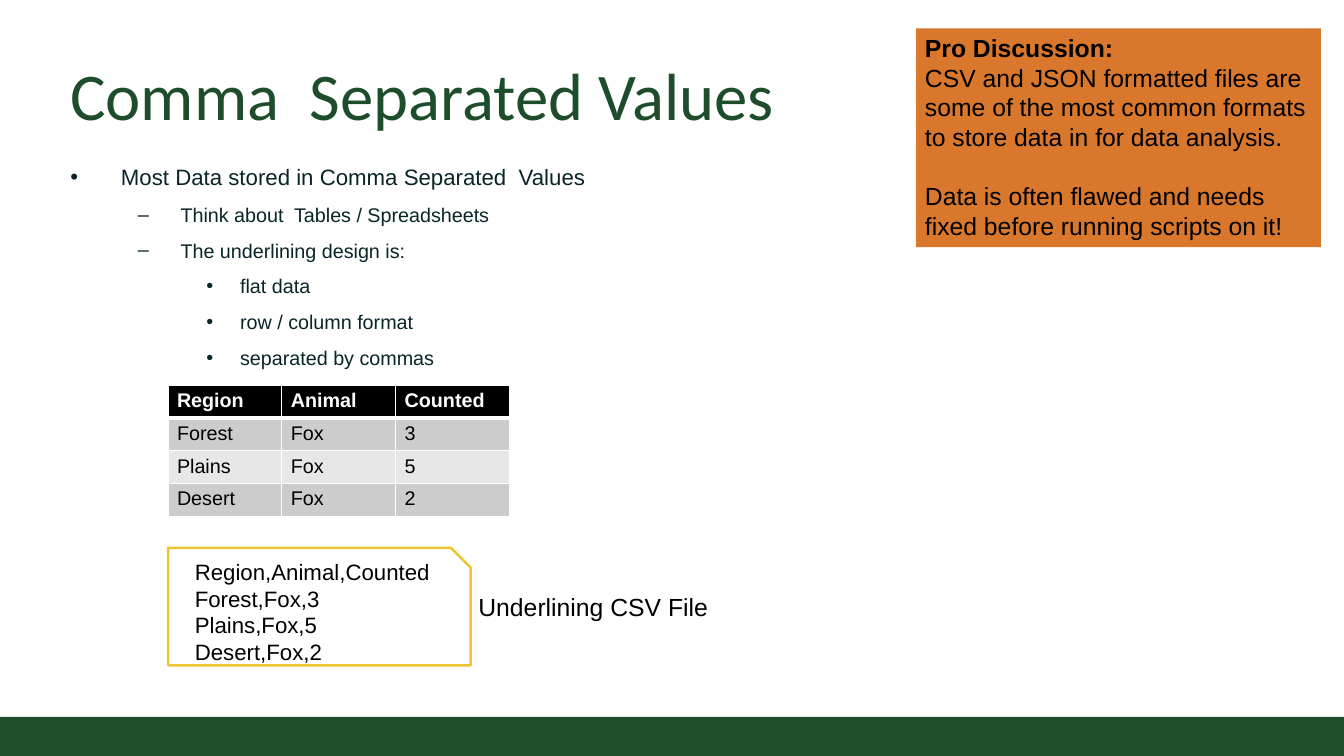
from lxml.etree import SubElement
from pptx import Presentation
from pptx.dml.color import RGBColor
from pptx.enum.shapes import MSO_SHAPE
from pptx.enum.text import MSO_ANCHOR, MSO_AUTO_SIZE, PP_ALIGN
from pptx.oxml.ns import qn
from pptx.util import Inches, Pt

GREEN = RGBColor(0x1E, 0x4D, 0x2B)
DARK_TEAL = RGBColor(0x09, 0x25, 0x29)
ORANGE = RGBColor(0xD9, 0x78, 0x2C)
GOLD = RGBColor(0xEC, 0xC5, 0x30)
BLACK = RGBColor(0, 0, 0)
WHITE = RGBColor(0xFF, 0xFF, 0xFF)
GRAY = RGBColor(0xCC, 0xCC, 0xCC)
LIGHT_GRAY = RGBColor(0xE7, 0xE7, 0xE7)

TITLE = "Comma  Separated Values"
BULLETS = [
    (0, "Most Data stored in Comma Separated  Values"),
    (1, "Think about  Tables / Spreadsheets"),
    (1, "The underlining design is:"),
    (2, "flat data"),
    (2, "row / column format"),
    (2, "separated by commas"),
]
LEVELS = [(0.57, -0.57, "•", 18), (1.24, -0.48, "–", 16), (1.91, -0.38, "•", 16)]
ANIMAL_COUNTS = [
    ("Region", "Animal", "Counted"),
    ("Forest", "Fox", "3"),
    ("Plains", "Fox", "5"),
    ("Desert", "Fox", "2"),
]
FILE_LABEL = "Underlining CSV File"
DISCUSSION_HEADING = "Pro Discussion:"
DISCUSSION_FIRST = [
    "CSV and JSON formatted files are",
    "some of the most common formats",
    "to store data in for data analysis.",
]
DISCUSSION_SECOND = [
    "Data is often flawed and needs",
    "fixed before running scripts on it!",
]
TABLE_LEFT = 1.89
COLUMN_WIDTH, ROW_HEIGHT = 1.28, 0.37


def place(shape, left, top, width, height):
    shape.left, shape.top = Inches(left), Inches(top)
    shape.width, shape.height = Inches(width), Inches(height)


def set_insets(frame, horizontal, vertical):
    frame.margin_left = frame.margin_right = Inches(horizontal)
    frame.margin_top = frame.margin_bottom = Inches(vertical)


def add_text(paragraph, text, size, color, bold=False, name="Arial"):
    paragraph.alignment = PP_ALIGN.LEFT
    run = paragraph.add_run()
    run.text = text
    run.font.name = name
    run.font.size = Pt(size)
    run.font.bold = bold
    run.font.color.rgb = color


def add_lines(frame, lines, size):
    for index, line in enumerate(lines):
        paragraph = frame.add_paragraph() if index else frame.paragraphs[0]
        add_text(paragraph, line, size, BLACK, line == DISCUSSION_HEADING)


def add_box(slide, preset, bounds, fill, line=None):
    shape = slide.shapes.add_shape(preset, *map(Inches, bounds))
    shape.shadow.inherit = False
    shape.fill.solid()
    shape.fill.fore_color.rgb = fill
    if line is None:
        shape.line.fill.background()
    else:
        shape.line.color.rgb = line
        shape.line.width = Pt(2)
    return shape


def add_bullet(paragraph, level):
    indent, hanging, character, _ = LEVELS[level]
    paragraph.level = level
    properties = paragraph._p.get_or_add_pPr()
    properties.set("marL", str(Inches(indent)))
    properties.set("indent", str(Inches(hanging)))
    SubElement(properties, qn("a:buFont"), typeface="Arial")
    SubElement(properties, qn("a:buChar"), char=character)
    paragraph.line_spacing = 1.2
    paragraph.space_before = Pt(0)
    paragraph.space_after = Pt(6)


def add_borders(cell, bottom_width):
    properties = cell._tc.get_or_add_tcPr()
    widths = {"a:lnL": 1, "a:lnR": 1, "a:lnT": 1, "a:lnB": bottom_width}
    for position, (tag, width) in enumerate(widths.items()):
        border = SubElement(properties, qn(tag), w=str(Pt(width)))
        fill = SubElement(border, qn("a:solidFill"))
        SubElement(fill, qn("a:srgbClr"), val=str(WHITE))
        properties.insert(position, border)


def add_animal_table(slide):
    rows, columns = len(ANIMAL_COUNTS), len(ANIMAL_COUNTS[0])
    table = slide.shapes.add_table(
        rows, columns, Inches(TABLE_LEFT), Inches(4.33),
        Inches(COLUMN_WIDTH * columns), Inches(ROW_HEIGHT * rows)).table
    for row_index, values in enumerate(ANIMAL_COUNTS):
        header = row_index == 0
        band = GRAY if row_index % 2 else LIGHT_GRAY
        for column_index, value in enumerate(values):
            cell = table.cell(row_index, column_index)
            cell.fill.solid()
            cell.fill.fore_color.rgb = BLACK if header else band
            add_borders(cell, 3 if header else 1)
            add_text(cell.text_frame.paragraphs[0], value, 16,
                     WHITE if header else BLACK, header)


def main():
    presentation = Presentation()
    presentation.slide_width, presentation.slide_height = Inches(15.11), Inches(8.5)
    slide = presentation.slides.add_slide(presentation.slide_layouts[1])

    add_box(slide, MSO_SHAPE.RECTANGLE, (0, 8.06, 15.11, 0.44), GREEN)

    title = slide.shapes.title
    place(title, 0.69, 0.49, 13.74, 1.11)
    title.text_frame.auto_size = MSO_AUTO_SIZE.NONE
    title.text_frame.vertical_anchor = MSO_ANCHOR.BOTTOM
    set_insets(title.text_frame, 0.1, 0.1)
    add_text(title.text_frame.paragraphs[0], TITLE, 54, GREEN, name="Calibri")

    body = slide.placeholders[1]
    place(body, 0.69, 1.68, 6.39, 2.57)
    frame = body.text_frame
    frame.auto_size = MSO_AUTO_SIZE.NONE
    set_insets(frame, 0.1, 0.1)
    for index, (level, text) in enumerate(BULLETS):
        paragraph = frame.add_paragraph() if index else frame.paragraphs[0]
        add_bullet(paragraph, level)
        add_text(paragraph, text, LEVELS[level][3], DARK_TEAL)

    add_animal_table(slide)

    csv_file = add_box(slide, MSO_SHAPE.SNIP_1_RECTANGLE,
                       (TABLE_LEFT, 6.16, 3.4, 1.32), WHITE, GOLD)
    csv_file.text_frame.vertical_anchor = MSO_ANCHOR.MIDDLE
    set_insets(csv_file.text_frame, 0.3, 0.2)
    add_lines(csv_file.text_frame, [",".join(row) for row in ANIMAL_COUNTS], 18)

    label = slide.shapes.add_textbox(Inches(5.28), Inches(6.6), Inches(2.81), Inches(0.44))
    label.text_frame.word_wrap = False
    add_lines(label.text_frame, [FILE_LABEL], 20)

    discussion = add_box(slide, MSO_SHAPE.RECTANGLE, (10.3, 0.32, 4.55, 2.46), ORANGE)
    frame = discussion.text_frame
    frame.word_wrap = False
    frame.vertical_anchor = MSO_ANCHOR.TOP
    add_lines(frame, [DISCUSSION_HEADING, *DISCUSSION_FIRST, *DISCUSSION_SECOND], 20)
    frame.paragraphs[1 + len(DISCUSSION_FIRST)].space_before = Pt(24)

    presentation.save("out.pptx")


if __name__ == "__main__":
    main()
